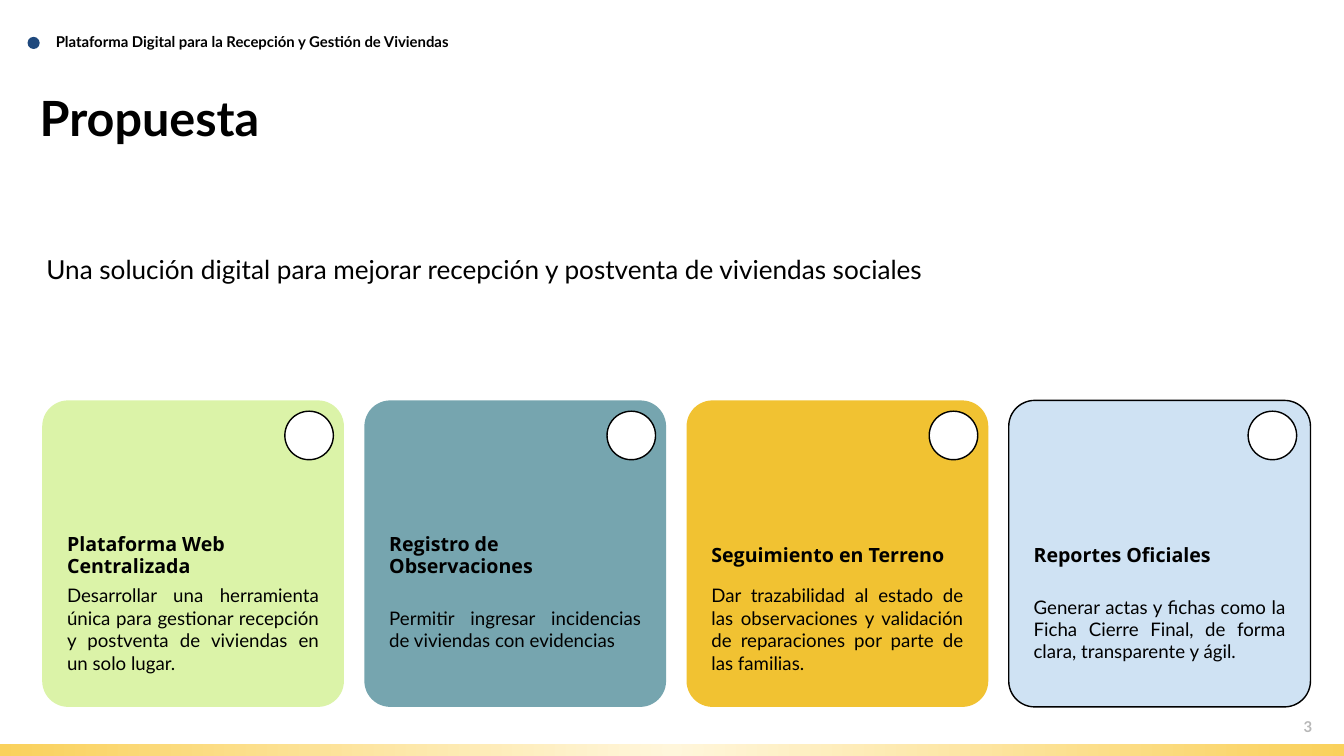
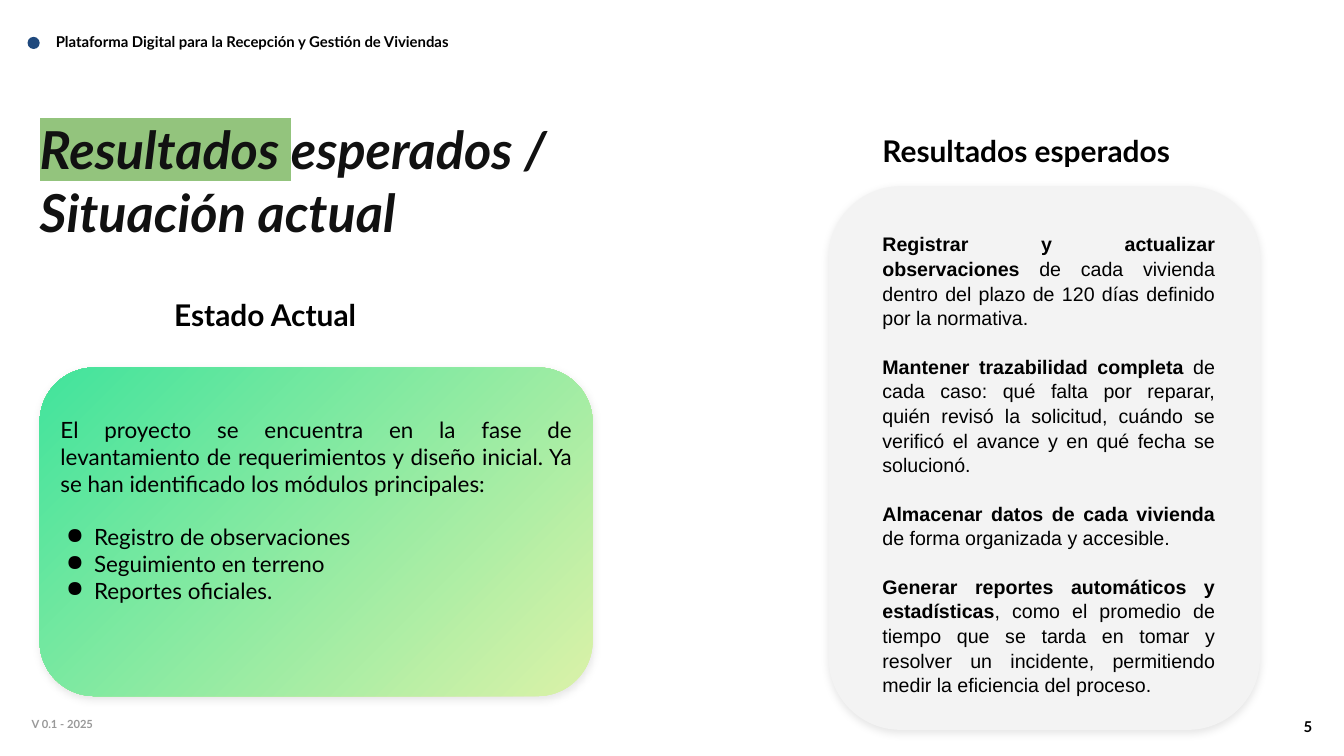
from lxml import etree
from pptx import Presentation
from pptx import util as u
from pptx.dml.color import RGBColor
from pptx.enum import shapes, text
from pptx.oxml import ns, parse_xml

Pt = u.Pt
colour = RGBColor.from_string
LEFT, RIGHT, JUSTIFY = text.PP_ALIGN.LEFT, text.PP_ALIGN.RIGHT, text.PP_ALIGN.JUSTIFY
ROUNDED = shapes.MSO_SHAPE.ROUNDED_RECTANGLE
OVAL = shapes.MSO_SHAPE.OVAL
BLACK, WHITE, NAVY = "000000", "FFFFFF", "1F497D"
FLUSH = (0, 5, 0, 0)
FOOTER = (3, 3, 3, 3)
CARD = (14.4, 14.4, 14.4, 14.4)
RADIAL = (
    f'<a:path {ns.nsdecls("a")} path="circle">'
    '<a:fillToRect l="50000" t="50000" r="50000" b="50000"/></a:path>'
)
SHADOW = (
    f'<a:outerShdw {ns.nsdecls("a")} blurRad="{Pt(9)}" dist="{Pt(3)}" dir="5400000" '
    'algn="t" rotWithShape="0"><a:srgbClr val="000000"><a:alpha val="10000"/>'
    "</a:srgbClr></a:outerShdw>"
)


def write(slide, content, at, size, font="Lato", color=BLACK, bold=False, italic=False,
          align=LEFT, margins=FLUSH, middle=False, spacing=None, gap=0, bullets_from=None):
    frame = slide.shapes.add_textbox(*map(Pt, at)).text_frame
    frame.word_wrap = True
    frame.margin_left, frame.margin_top, frame.margin_right, frame.margin_bottom = map(Pt, margins)
    if middle:
        frame.vertical_anchor = text.MSO_ANCHOR.MIDDLE
    paragraphs = [[(content, {})]] if isinstance(content, str) else content
    for i, runs in enumerate(paragraphs):
        paragraph = frame.add_paragraph() if i else frame.paragraphs[0]
        paragraph.alignment = align
        if spacing:
            paragraph.line_spacing = spacing
        if bullets_from is not None and i >= bullets_from:
            props = paragraph._p.get_or_add_pPr()
            props.set("marL", str(Pt(36)))
            props.set("indent", str(Pt(-30)))
            etree.SubElement(props, ns.qn("a:buChar")).set("char", "●")
        elif gap and i < len(paragraphs) - 1:
            paragraph.space_after = Pt(gap)
        for words, style in runs:
            run = paragraph.add_run()
            run.text = words
            run.font.size = Pt(size)
            run.font.name = font
            run.font.bold = style.get("bold", bold)
            run.font.italic = italic
            run.font.color.rgb = colour(color)
            if "highlight" in style:
                mark = etree.Element(ns.qn("a:highlight"))
                etree.SubElement(mark, ns.qn("a:srgbClr")).set("val", style["highlight"])
                run._r.rPr.find(ns.qn("a:solidFill")).addnext(mark)


def draw(slide, preset, at, fill, line=None, radius=None, angle=None, shadow=False):
    shape = slide.shapes.add_shape(preset, *map(Pt, at))
    shape.shadow.inherit = False
    if radius:
        shape.adjustments[0] = radius
    if isinstance(fill, str):
        shape.fill.solid()
        shape.fill.fore_color.rgb = colour(fill)
    else:
        shape.fill.gradient()
        for stop, shade in zip(shape.fill.gradient_stops, fill):
            stop.color.rgb = colour(shade)
        if angle is None:
            linear = shape._element.spPr.find(".//" + ns.qn("a:lin"))
            linear.getparent().replace(linear, parse_xml(RADIAL))
        else:
            shape.fill.gradient_angle = angle
    if line:
        shape.line.color.rgb = colour(line)
        shape.line.width = Pt(1.5)
    else:
        shape.line.fill.background()
    if shadow:
        shape._element.spPr.find(ns.qn("a:effectLst")).append(parse_xml(SHADOW))


deck = Presentation()
deck.slide_width, deck.slide_height = Pt(1440), Pt(810)
proposal, results = [deck.slides.add_slide(deck.slide_layouts[6]) for _ in range(2)]

for slide, number, number_color in [(proposal, "3", "B7B7B7"), (results, "5", BLACK)]:
    draw(slide, OVAL, (29.5, 39.5, 13, 13), NAVY)
    write(slide, "Plataforma Digital para la Recepción y Gestión de Viviendas",
          (58.3, 33.8, 462, 26.6), 16, bold=True, margins=(1.5, 1.5, 1.5, 1.5))
    write(slide, number, (1350, 766, 59, 26.6), 16, color=number_color, bold=True,
          align=RIGHT, margins=FOOTER)

write(proposal, "Propuesta", (42.5, 89.3, 646.5, 138), 52, bold=True)
write(proposal, "Una solución digital para mejorar recepción y postventa de viviendas sociales",
      (49.7, 267, 1004.5, 121.7), 28)

cards = [
    ("Plataforma Web Centralizada", "DBF3A8", None, 260,
     "Desarrollar una herramienta única para gestionar recepción y postventa de viviendas "
     "en un solo lugar."),
    ("Registro de Observaciones", "76A5AF", None, 260,
     "Permitir ingresar incidencias de viviendas con evidencias"),
    ("Seguimiento en Terreno", "F1C232", None, 260,
     "Dar trazabilidad al estado de las observaciones y validación de reparaciones por parte "
     "de las familias."),
    ("Reportes Oficiales", "CFE2F3", BLACK, 256.5,
     "Generar actas y fichas como la Ficha Cierre Final, de forma clara, transparente y ágil."),
]
for i, (heading, fill, outline, badge_offset, detail) in enumerate(cards):
    left = 45.2 + 345.2 * i
    draw(proposal, ROUNDED, (left, 429, 323.3, 328.4), fill, line=outline, radius=0.086)
    draw(proposal, OVAL, (left + badge_offset, 440.6, 52, 52), WHITE, line=BLACK)
    write(proposal, heading, (left + 12.2, 574, 298.8, 44), 21, font="Open Sans", bold=True,
          margins=CARD, middle=True, spacing=0.9)
    write(proposal, detail, (left + 12.2, 633.6, 298.8, 80.6), 20, align=JUSTIFY,
          margins=CARD, middle=True)

draw(proposal, shapes.MSO_SHAPE.RECTANGLE, (0, 797.5, 1440, 12.5), ("FFF6DB", "FAD15C"))

draw(results, ROUNDED, (42.5, 393.8, 592.5, 352), ("DBF2A8", "41E39C"), radius=0.167,
     angle=135, shadow=True)
draw(results, ROUNDED, (887.8, 199.5, 462.2, 582.5), "F3F3F3", radius=0.167, shadow=True)
write(results, [[("Resultados ", {"highlight": "93C47D"}), ("esperados / Situación actual", {})]],
      (42.5, 121, 723, 175.7), 56, color="111111", bold=True, italic=True)
write(results, "Estado Actual", (186.5, 313.2, 245.5, 63.4), 32, bold=True)
write(results, "Resultados esperados", (945.4, 136.8, 356.4, 63.4), 32, bold=True)
write(results, "V 0.1 - 2025", (31, 766, 105, 26.6), 12, color="999999", bold=True,
      margins=FOOTER)

status = [
    "El proyecto se encuentra en la fase de levantamiento de requerimientos y diseño inicial. "
    "Ya se han identificado los módulos principales:",
    "Registro de observaciones",
    "Seguimiento en terreno",
    "Reportes oficiales.",
]
write(results, [[(line, {})] for line in status], (64.8, 440.6, 548, 260), 24,
      align=JUSTIFY, gap=28.8, bullets_from=1)

goals = [
    ("Registrar y actualizar observaciones",
     " de cada vivienda dentro del plazo de 120 días definido por la normativa."),
    ("Mantener trazabilidad completa",
     " de cada caso: qué falta por reparar, quién revisó la solicitud, cuándo se verificó "
     "el avance y en qué fecha se solucionó."),
    ("Almacenar datos de cada vivienda", " de forma organizada y accesible."),
    ("Generar reportes automáticos y estadísticas",
     ", como el promedio de tiempo que se tarda en tomar y resolver un incidente, permitiendo "
     "medir la eficiencia del proceso."),
]
write(results, [[(lead, {"bold": True}), (rest, {})] for lead, rest in goals],
      (945.4, 242.6, 356.4, 503.3), 21, font="Arial", align=JUSTIFY, spacing=1.05, gap=25.3)

deck.save("out.pptx")
